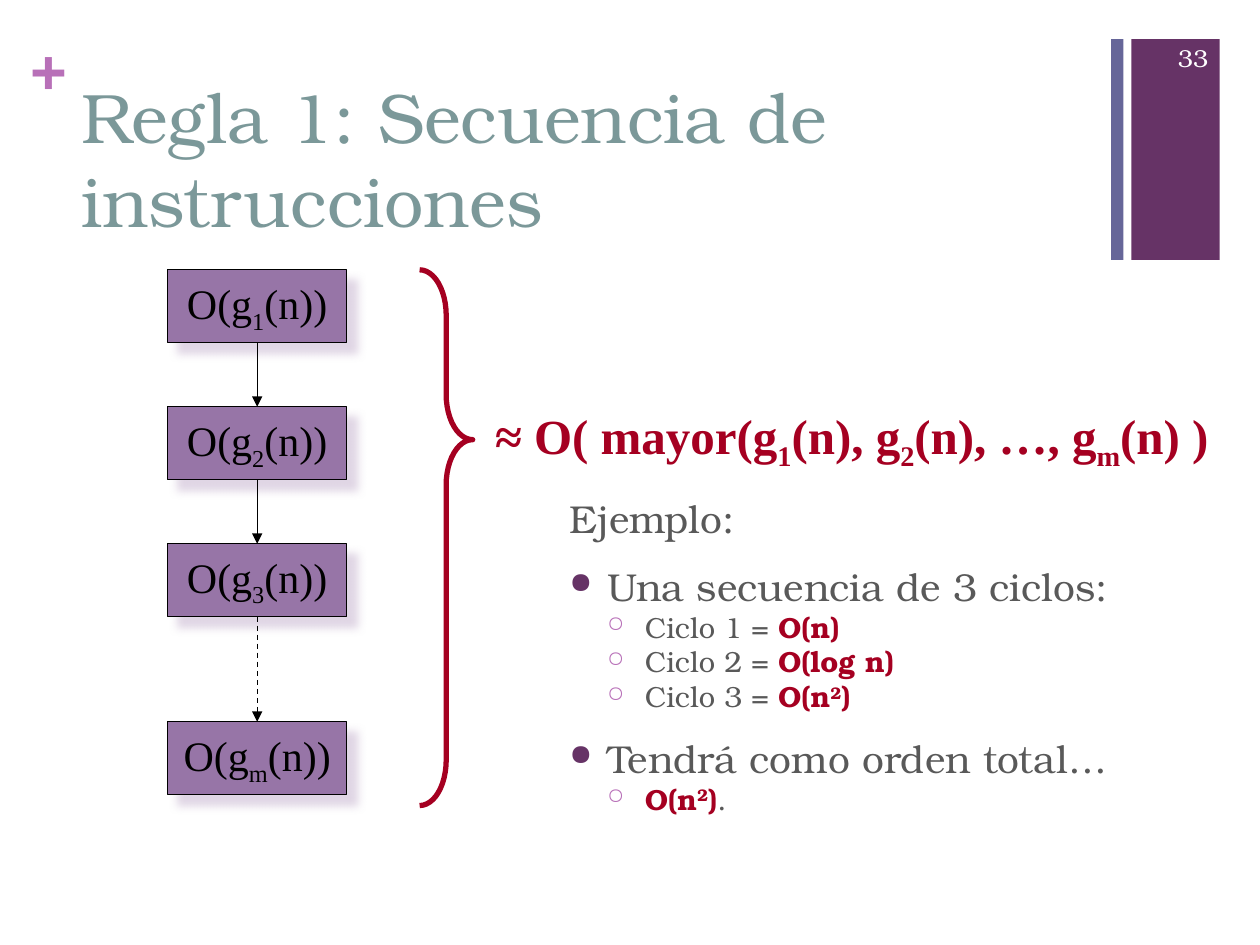
from dataclasses import dataclass

from lxml.etree import SubElement
from pptx import Presentation
from pptx.dml.color import RGBColor
from pptx.enum.dml import MSO_LINE
from pptx.enum.shapes import MSO_CONNECTOR, MSO_SHAPE as Preset
from pptx.enum.text import MSO_ANCHOR as Anchor, MSO_AUTO_SIZE as AutoSize, PP_ALIGN as Align
from pptx.oxml.ns import qn
from pptx.util import Cm, Pt

SERIF, MATH = "TeX Gyre Bonum", "Times New Roman"
PURPLE, ORCHID, RED, GREY = "663366", "B870B8", "A50021", "595959"
BLACK, WHITE = "000000", "FFFFFF"


def color(code):
    return RGBColor.from_string(code)


@dataclass
class Span:
    text: str
    shift: int = 0  # percent above (+) or below (-) the baseline
    accent: bool = False


def indexed(text):
    """Split text at underscores; the letter after each one is a subscript."""
    first, *rest = text.split("_")
    spans = [Span(first)]
    for part in rest:
        spans += [Span(part[0], -25), Span(part[1:])]
    return spans


class SlideBuilder:
    def __init__(self, page):
        self.page = page

    def add_spans(self, para, spans, size, hue, font=SERIF, bold=False, align=Align.LEFT):
        para.alignment = align
        para.font.name, para.font.size, para.font.bold = font, Pt(size), bold
        para.font.color.rgb = color(hue)
        for span in spans:
            run = para.add_run()
            run.text = span.text
            if span.accent:
                run.font.bold = True
                run.font.color.rgb = color(RED)
            if span.shift:
                run._r.get_or_add_rPr().set("baseline", str(span.shift * 1000))

    def text(self, area, spans, size, hue, wrap=True, grow=False, inset=True,
             anchor=Anchor.TOP, **style):
        box = self.page.shapes.add_textbox(*map(Cm, area))
        frame = box.text_frame
        frame.word_wrap, frame.vertical_anchor = wrap, anchor
        frame.auto_size = AutoSize.SHAPE_TO_FIT_TEXT if grow else AutoSize.NONE
        if not inset:
            frame.margin_left = frame.margin_right = 0
            frame.margin_top = frame.margin_bottom = 0
        self.add_spans(frame.paragraphs[0], spans, size, hue, **style)

    def shape(self, preset, area, fill=None, line=None, width=0.75):
        shape = self.page.shapes.add_shape(preset, *map(Cm, area))
        shape.shadow.inherit = False
        if fill:
            shape.fill.solid()
            shape.fill.fore_color.rgb = color(fill)
        else:
            shape.fill.background()
        if line:
            shape.line.color.rgb = color(line)
            shape.line.width = Pt(width)
        else:
            shape.line.fill.background()
        return shape

    def step(self, area, label):
        """Draw a flow box with a soft shadow and an indexed label."""
        box = self.shape(Preset.RECTANGLE, area, "9775A7", BLACK)
        effects = box._element.spPr.find(qn("a:effectLst"))
        shadow = SubElement(effects, qn("a:outerShdw"), blurRad=str(Pt(5)),
                            dist=str(Pt(8.5)), dir="2700000", algn="tl", rotWithShape="0")
        tint = SubElement(shadow, qn("a:srgbClr"), val="C3AFCC")
        SubElement(tint, qn("a:alpha"), val="50000")
        box.text_frame.word_wrap = False
        box.text_frame.vertical_anchor = Anchor.MIDDLE
        self.add_spans(box.text_frame.paragraphs[0], indexed(label), 24, BLACK, MATH,
                       align=Align.CENTER)
        return box

    def arrow(self, upper, lower, dashed=False):
        link = self.page.shapes.add_connector(MSO_CONNECTOR.STRAIGHT, 0, 0, 0, 0)
        link.begin_connect(upper, 2)
        link.end_connect(lower, 0)
        link.line.color.rgb = color(BLACK)
        link.line.width = Pt(0.75)
        if dashed:
            link.line.dash_style = MSO_LINE.DASH
        props = link._element.spPr
        SubElement(props.find(qn("a:ln")), qn("a:tailEnd"), type="triangle")
        SubElement(props, qn("a:effectLst"))

    def outline(self, area, items):
        """Lay out a bulleted text from (level, spans) pairs; level 0 has no bullet."""
        looks = [(22.2, 20, None, None), (22.2, 20, "●", PURPLE), (16.6, 6, "○", ORCHID)]
        frame = self.page.shapes.add_textbox(*map(Cm, area)).text_frame
        frame.word_wrap = True
        for number, (level, spans) in enumerate(items):
            size, before, bullet, hue = looks[level]
            para = frame.add_paragraph() if number else frame.paragraphs[0]
            para.level = max(level - 1, 0)
            para.line_spacing, para.space_before = 0.7, Pt(before)
            props = para._p.get_or_add_pPr()
            props.set("marL", str(Cm(0.76 * (para.level + 1))))
            props.set("indent", str(Cm(-0.76)))
            if bullet:
                SubElement(SubElement(props, qn("a:buClr")), qn("a:srgbClr"), val=hue)
                SubElement(props, qn("a:buSzPct"), val="75000")
                SubElement(props, qn("a:buChar"), char=bullet)
            else:
                SubElement(props, qn("a:buNone"))
            self.add_spans(para, spans, size, GREY)


def main():
    deck = Presentation()
    deck.slide_width, deck.slide_height = Cm(25.4), Cm(19.05)
    builder = SlideBuilder(deck.slides.add_slide(deck.slide_layouts[6]))

    builder.shape(Preset.RECTANGLE, (22.81, 0.79, 1.78, 4.45), PURPLE)
    builder.text((0.61, 0.64, 0.74, 1.55), [Span("+")], 36, ORCHID, grow=True, inset=False,
                 font="Arial", bold=True)
    builder.shape(Preset.RECTANGLE, (22.4, 0.79, 0.25, 4.45), "666699")
    builder.text((1.4, 1.35, 20.98, 3.1), [Span("Regla 1: Secuencia de instrucciones")],
                 40, "7B9899")

    square = [Span("O(n", accent=True), Span("2", 30, True), Span(")", accent=True)]
    builder.outline((11.23, 10.11, 12.5, 6.55), [
        (0, [Span("Ejemplo:")]),
        (1, [Span("Una secuencia de 3 ciclos:")]),
        (2, [Span("Ciclo 1 = "), Span("O(n)", accent=True)]),
        (2, [Span("Ciclo 2 = "), Span("O(log n)", accent=True)]),
        (2, [Span("Ciclo 3 = "), *square]),
        (1, [Span("Tendrá como orden total…")]),
        (2, [*square, Span(".")]),
    ])
    builder.text((23.06, 0.66, 1.55, 1.02), [Span("33")], 14, WHITE, anchor=Anchor.MIDDLE,
                 align=Align.RIGHT)

    top, pitch = 5.44, 2.76
    tops = [top, top + pitch, top + 2 * pitch, 14.55]
    steps = [builder.step((3.38, y, 3.61, 1.47), f"O(g_{index}(n))")
             for index, y in zip("123m", tops)]
    for upper, lower in zip(steps, steps[1:]):
        builder.arrow(upper, lower, dashed=lower is steps[-1])

    brace = builder.shape(Preset.RIGHT_BRACE, (8.46, top, 1.07, 10.8), line=RED, width=3)
    brace.adjustments[0], brace.adjustments[1] = 0.85, 0.317
    builder.text((9.73, 8.05, 15.11, 1.45), indexed("≈ O( mayor(g_1(n), g_2(n), …, g_m(n) )"),
                 28, RED, wrap=False, grow=True, font=MATH, bold=True)

    deck.save("out.pptx")


if __name__ == "__main__":
    main()
